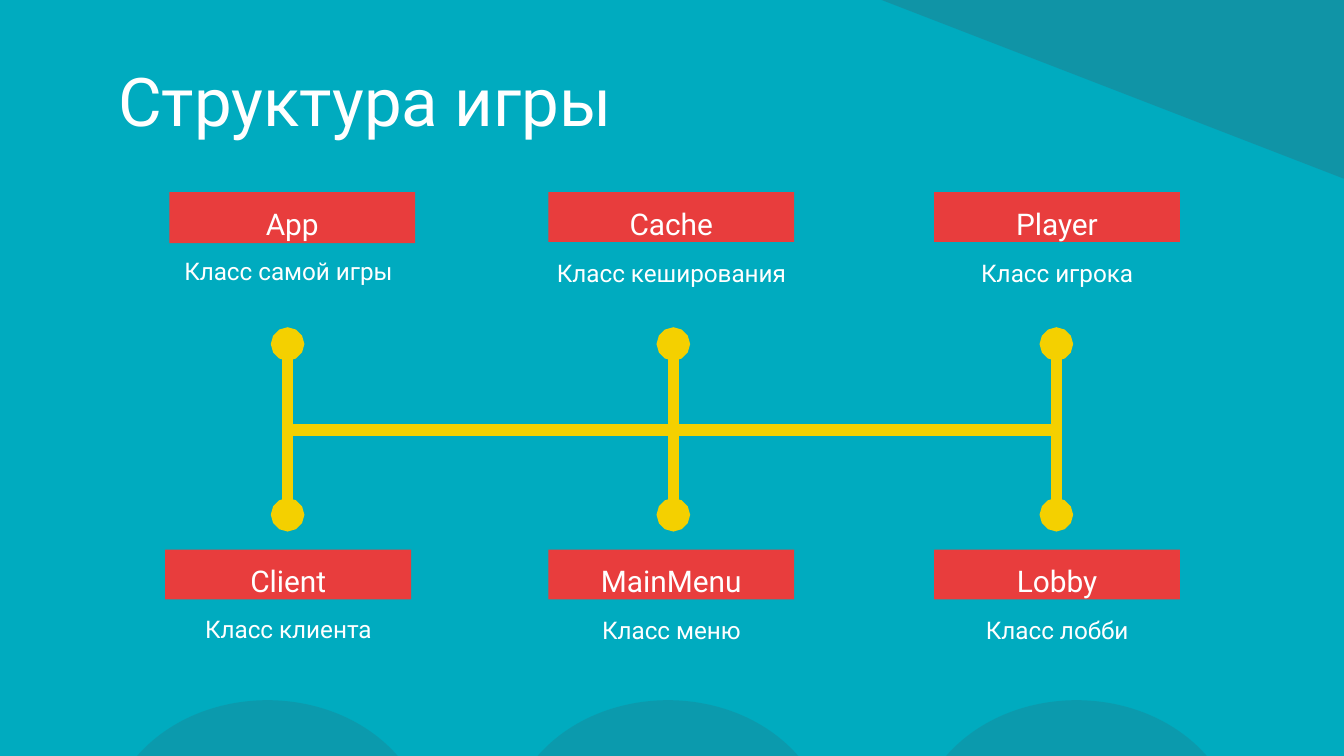
from lxml.etree import SubElement
from pptx import Presentation
from pptx.dml.color import RGBColor
from pptx.enum.shapes import MSO_CONNECTOR, MSO_SHAPE
from pptx.enum.text import MSO_ANCHOR, MSO_AUTO_SIZE, PP_ALIGN
from pptx.oxml.ns import qn
from pptx.util import Inches, Pt

WHITE, TEAL, SLATE, RED, YELLOW = "FFFFFF", "00ABBF", "336574", "E83D3D", "F4D000"


def paint(shape, color, opacity=100):
    """Give the shape a plain fill without outline or shadow."""
    shape.shadow.inherit = False
    shape.line.fill.background()
    shape.fill.solid()
    shape.fill.fore_color.rgb = RGBColor.from_string(color)
    if opacity < 100:
        fill_color = shape.fill._xPr.find(qn("a:solidFill"))[0]
        SubElement(fill_color, qn("a:alpha"), val=str(opacity * 1000))


def write(shape, text, size, align=PP_ALIGN.CENTER, anchor=MSO_ANCHOR.TOP):
    frame = shape.text_frame
    frame.word_wrap = True
    frame.auto_size = MSO_AUTO_SIZE.NONE
    frame.vertical_anchor = anchor
    frame.margin_left = frame.margin_right = Inches(0.1)
    frame.margin_top = frame.margin_bottom = Inches(0.1)
    paragraph = frame.paragraphs[0]
    paragraph.alignment = align
    run = paragraph.add_run()
    run.text = text
    run.font.size = Pt(size)
    run.font.name = "Roboto"
    run.font.color.rgb = RGBColor.from_string(WHITE)


presentation = Presentation()
presentation.slide_width = Inches(10)
presentation.slide_height = Inches(10 * 9 / 16)
slide = presentation.slides.add_slide(presentation.slide_layouts[5])
slide.background.fill.solid()
slide.background.fill.fore_color.rgb = RGBColor.from_string(TEAL)

# Background decoration
corner = slide.shapes.add_shape(
    MSO_SHAPE.RIGHT_TRIANGLE, Inches(6.56), 0, Inches(3.44), Inches(1.33))
corner.rotation = 180
paint(corner, SLATE, opacity=32)
for left in (0.79, 3.77, 6.81):
    circle = slide.shapes.add_shape(
        MSO_SHAPE.OVAL, Inches(left), Inches(5.21), Inches(2.4), Inches(2.02))
    paint(circle, SLATE, opacity=23)

# Title, in front of the decoration
title = slide.shapes.title
circle.element.addnext(title.element)
title.left, title.top = Inches(0.78), Inches(0.43)
title.width, title.height = Inches(8.44), Inches(0.63)
write(title, "Структура игры", 36, align=PP_ALIGN.LEFT, anchor=MSO_ANCHOR.MIDDLE)

# Classes: name, description, left, top and height of the name, left and top of the description
classes = [
    ("App", "Класс самой игры", 1.26, 1.43, 0.38, 1, 1.81),
    ("Cache", "Класс кеширования", 4.08, 1.43, 0.37, 3.85, 1.82),
    ("Player", "Класс игрока", 6.95, 1.43, 0.37, 6.72, 1.82),
    ("Client", "Класс клиента", 1.23, 4.09, 0.37, 1, 4.47),
    ("MainMenu", "Класс меню", 4.08, 4.09, 0.37, 3.85, 4.48),
    ("Lobby", "Класс лобби", 6.95, 4.09, 0.37, 6.72, 4.48),
]
for name, description, name_left, name_top, name_height, text_left, text_top in classes:
    label = slide.shapes.add_shape(
        MSO_SHAPE.RECTANGLE,
        Inches(name_left), Inches(name_top), Inches(1.83), Inches(name_height))
    paint(label, RED)
    write(label, name, 16)
    caption = slide.shapes.add_textbox(
        Inches(text_left), Inches(text_top), Inches(2.29), Inches(0.74))
    write(caption, description, 13)

# Connecting lines: start x, start y, end x, end y, round ends
links = [(2.17, 3.2, 7.85, 3.2, False)]
links += [(x, 2.56, x, 3.83, True) for x in (2.14, 5.01, 7.86)]
tree = slide.shapes.add_group_shape()
for start_x, start_y, end_x, end_y, round_ends in links:
    link = tree.shapes.add_connector(
        MSO_CONNECTOR.STRAIGHT, Inches(start_x), Inches(start_y), Inches(end_x), Inches(end_y))
    link.line.width = Pt(6)
    link.line.color.rgb = RGBColor.from_string(YELLOW)
    if round_ends:
        for end in ("a:headEnd", "a:tailEnd"):
            SubElement(link.line._get_or_add_ln(), qn(end), type="oval")
    SubElement(link.element.spPr, qn("a:effectLst"))

presentation.save("out.pptx")
